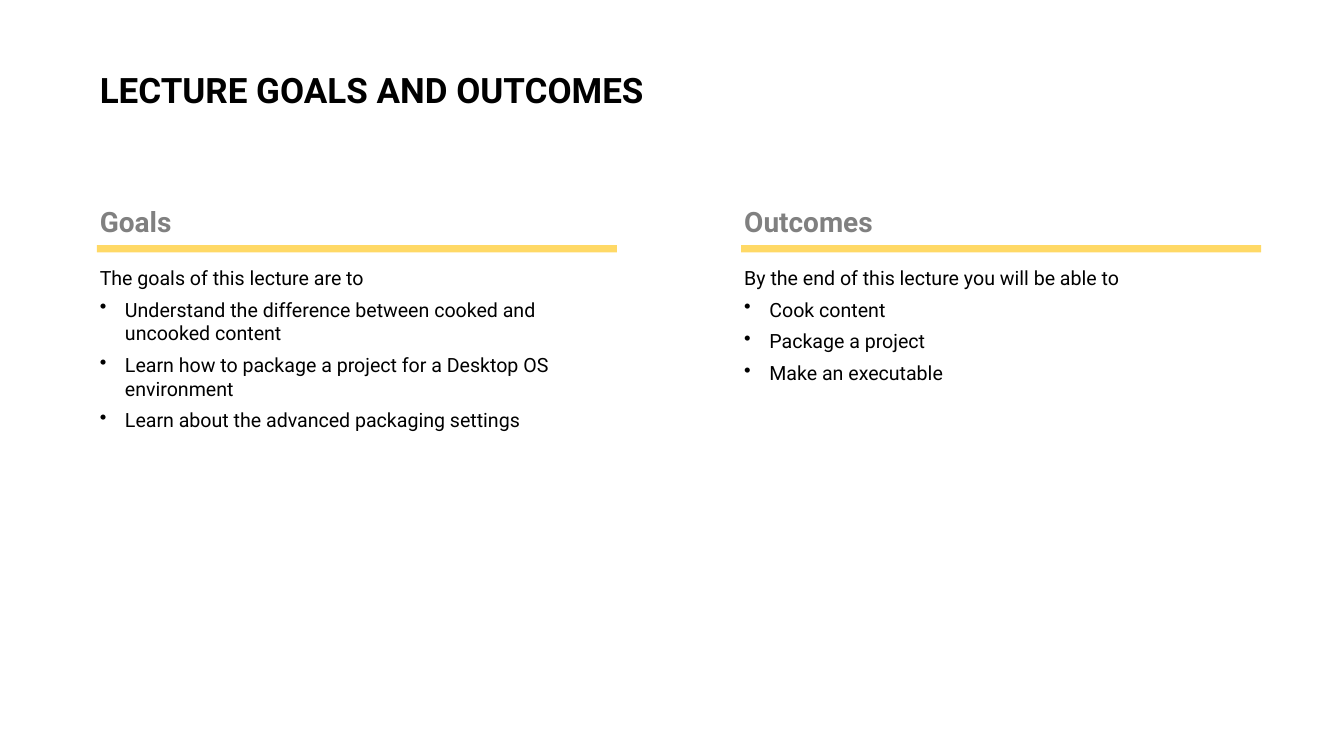
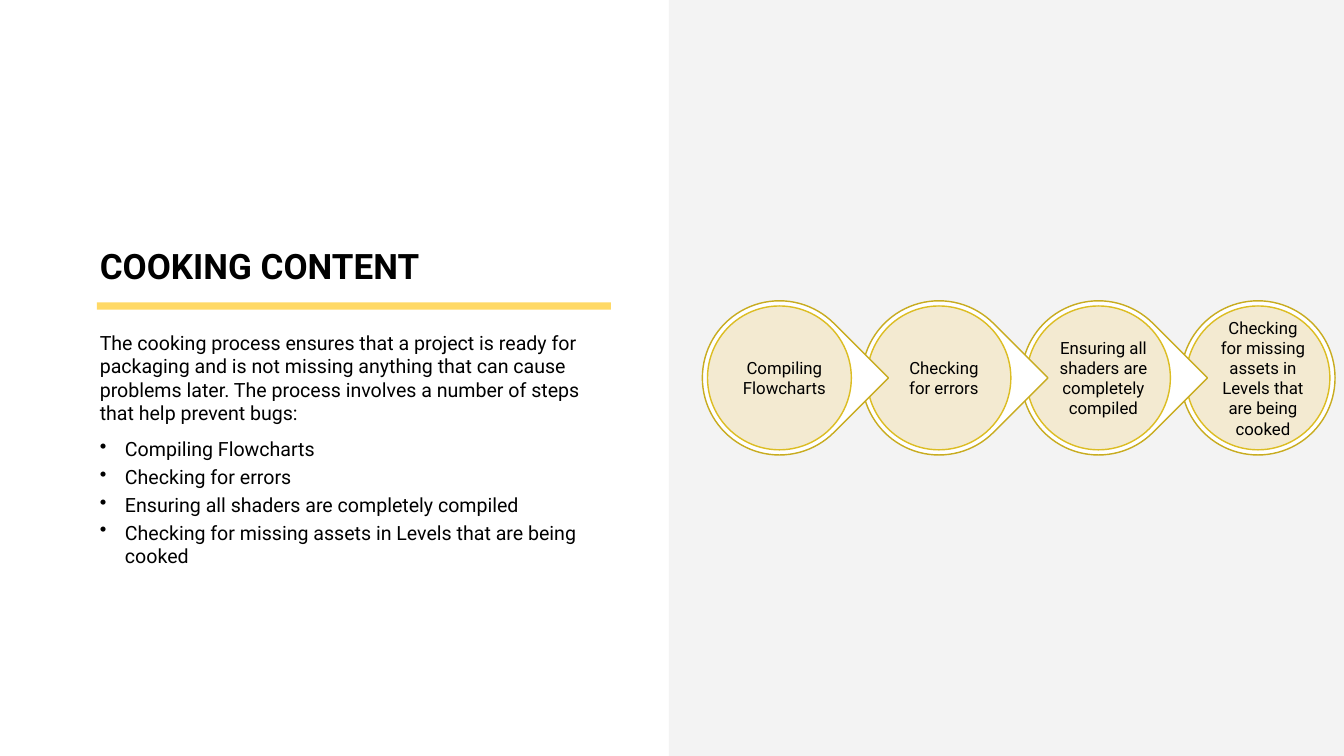
from lxml.etree import SubElement
from pptx import Presentation
from pptx.dml.color import RGBColor
from pptx.enum.shapes import MSO_SHAPE
from pptx.enum.text import MSO_ANCHOR, MSO_AUTO_SIZE, PP_ALIGN
from pptx.oxml.ns import qn
from pptx.util import Cm, Pt

COLORS = {
    "text": "000000",
    "heading": "808080",
    "bar": "FFD966",
    "panel": "F3F3F3",
    "ring": "FFFFFF",
    "ring_line": "C8AC20",
    "disc": "F2E8CD",
    "disc_line": "DCBD23",
}
FONT = "Roboto"
SLIDE_WIDTH, SLIDE_HEIGHT = 67.74, 38.1
MARGIN = 4.88
BAR_HEIGHT = 0.36
TITLE_HEIGHT = 2.41


def color(name):
    return RGBColor.from_string(COLORS[name])


def add_box(shapes, left, top, width, height, inset=0.15, wrap=True, grow=True,
            anchor=MSO_ANCHOR.TOP):
    box = shapes.add_textbox(Cm(left), Cm(top), Cm(width), Cm(height))
    frame = box.text_frame
    frame.margin_left = frame.margin_right = Cm(inset)
    frame.margin_top = frame.margin_bottom = Cm(inset)
    frame.word_wrap = wrap
    frame.auto_size = MSO_AUTO_SIZE.SHAPE_TO_FIT_TEXT if grow else MSO_AUTO_SIZE.NONE
    frame.vertical_anchor = anchor
    return frame


def style(paragraph, size, color_name="text", bold=False):
    paragraph.font.name = FONT
    paragraph.font.size = Pt(size)
    paragraph.font.bold = bold
    paragraph.font.color.rgb = color(color_name)


def add_shape(shapes, kind, left, top, width, height, fill, line=None):
    shape = shapes.add_shape(kind, Cm(left), Cm(top), Cm(width), Cm(height))
    shape.shadow.inherit = False
    shape.fill.solid()
    shape.fill.fore_color.rgb = color(fill)
    if line:
        shape.line.color.rgb = color(line)
        shape.line.width = Pt(2)
    else:
        shape.line.fill.background()
    return shape


def add_bar(slide, left, top, width):
    add_shape(slide.shapes, MSO_SHAPE.RECTANGLE, left, top, width, BAR_HEIGHT, "bar")


def add_title(slide, text, top, width, wrap, anchor=MSO_ANCHOR.TOP):
    frame = add_box(slide.shapes, MARGIN, top, width, TITLE_HEIGHT, wrap=wrap, anchor=anchor)
    frame.text = text
    style(frame.paragraphs[0], 50, bold=True)


def add_list(slide, left, top, width, height, intro, items, intro_after, item_before):
    frame = add_box(slide.shapes, left, top, width, height)
    paragraph = frame.paragraphs[0]
    paragraph.text = intro
    paragraph.space_after = Pt(intro_after)
    style(paragraph, 28)
    for item in items:
        paragraph = frame.add_paragraph()
        paragraph.text = item
        paragraph.space_before = Pt(item_before)
        paragraph.space_after = Pt(6)
        properties = paragraph._p.get_or_add_pPr()
        properties.set("marL", str(Cm(1.27)))
        properties.set("indent", str(-Cm(1.27)))
        SubElement(properties, qn("a:buChar"), char="•")
        style(paragraph, 28)


def add_column(slide, left, top, width, heading, heading_width, intro, items, list_height):
    frame = add_box(slide.shapes, left, top, heading_width, 2.01, wrap=False)
    frame.text = heading
    style(frame.paragraphs[0], 40, "heading", bold=True)
    add_bar(slide, left, top + 2.2, width)
    add_list(slide, left, top + 3.07, width, list_height, intro, items, 6, 6)


def add_step(slide, left, top, size, text, is_last):
    shapes = slide.shapes.add_group_shape().shapes
    kind = MSO_SHAPE.OVAL if is_last else MSO_SHAPE.TEAR
    ring = add_shape(shapes, kind, left, top, size, size, "ring", "ring_line")
    if not is_last:
        ring.adjustments[0] = 1
        ring.rotation = 45

    gap = 0.26
    disc = add_shape(shapes, MSO_SHAPE.OVAL, left + gap, top + gap,
                     size - 2 * gap, size - 2 * gap, "disc", "disc_line")
    fill_color = disc.fill._xPr.find(qn("a:solidFill"))[0]
    SubElement(fill_color, qn("a:alpha"), val="90000")

    frame = add_box(shapes, left + 1.3, top + 1.3, size - 2.6, size - 2.6,
                    inset=0.08, grow=False, anchor=MSO_ANCHOR.MIDDLE)
    frame.text = text
    paragraph = frame.paragraphs[0]
    paragraph.alignment = PP_ALIGN.CENTER
    paragraph._p.get_or_add_pPr().set("marL", str(Cm(0.5)))
    style(paragraph, 24)


def add_process(slide, left, top, size, pitch, steps):
    for index in reversed(range(len(steps))):
        add_step(slide, left + index * pitch, top, size, steps[index],
                 index == len(steps) - 1)


def build_goals(slide):
    add_title(slide, "LECTURE GOALS AND OUTCOMES", 3.3, 30.66, wrap=False)
    add_column(slide, MARGIN, 10.16, 26.21, "Goals", 4.24,
               "The goals of this lecture are to",
               ["Understand the difference between cooked and uncooked content",
                "Learn how to package a project for a Desktop OS environment",
                "Learn about the advanced packaging settings"], 10.16)
    add_column(slide, 37.36, 10.16, 26.21, "Outcomes", 7.26,
               "By the end of this lecture you will be able to",
               ["Cook content", "Package a project", "Make an executable"], 8.97)


def build_cooking(slide):
    steps = ["Compiling Flowcharts", "Checking for errors",
             "Ensuring all shaders are completely compiled",
             "Checking for missing assets in Levels that are being cooked"]
    panel_left = 33.71
    add_shape(slide.shapes, MSO_SHAPE.RECTANGLE, panel_left, 0,
              SLIDE_WIDTH - panel_left, SLIDE_HEIGHT, "panel")
    add_title(slide, "COOKING CONTENT", 12.19, 24.92, wrap=True, anchor=MSO_ANCHOR.BOTTOM)
    add_bar(slide, MARGIN, 15.24, 25.91)
    add_list(slide, MARGIN, 16.51, 25.91, 12.34,
             "The cooking process ensures that a project is ready for packaging and is not "
             "missing anything that can cause problems later. The process involves a number "
             "of steps that help prevent bugs:", steps, 18, 0)
    add_process(slide, panel_left + 1.69, 15.16, 7.77, 8.04, steps)


def main():
    presentation = Presentation()
    presentation.slide_width = Cm(SLIDE_WIDTH)
    presentation.slide_height = Cm(SLIDE_HEIGHT)
    for build in (build_goals, build_cooking):
        build(presentation.slides.add_slide(presentation.slide_layouts[6]))
    presentation.save("out.pptx")


if __name__ == "__main__":
    main()
